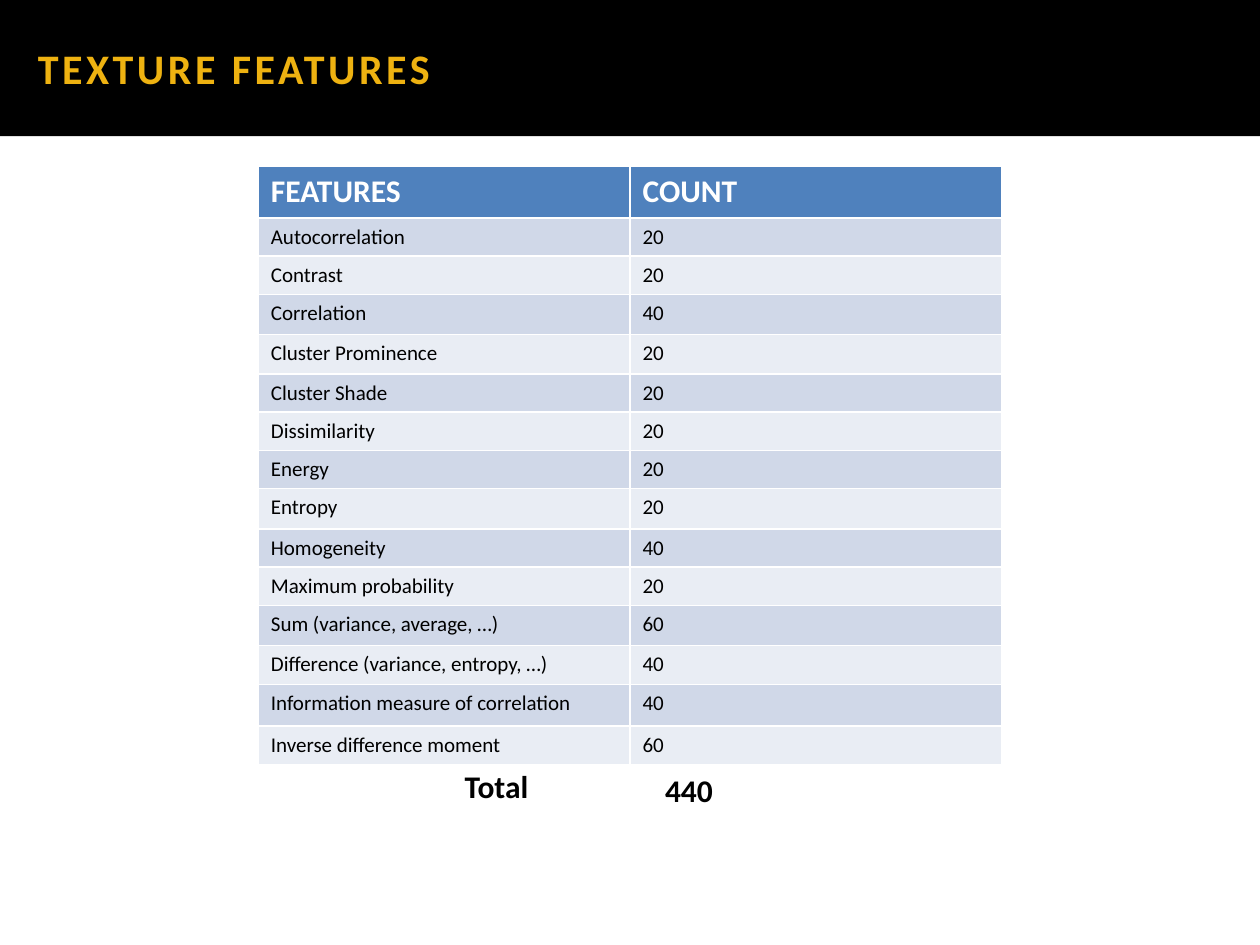
from pptx import Presentation
from pptx.dml.color import RGBColor
from pptx.enum.text import MSO_ANCHOR, PP_ALIGN
from pptx.util import Inches, Pt

LEFT = PP_ALIGN.LEFT
MIDDLE = MSO_ANCHOR.MIDDLE

BLACK = RGBColor(0x00, 0x00, 0x00)
WHITE = RGBColor(0xFF, 0xFF, 0xFF)
GOLD = RGBColor(0xEE, 0xB2, 0x11)
HEADER_BLUE = RGBColor(0x4F, 0x81, 0xBD)
BAND_DARK = RGBColor(0xD0, 0xD8, 0xE8)
BAND_LIGHT = RGBColor(0xE9, 0xED, 0xF4)

FEATURE_COUNTS = [
    ("FEATURES", "COUNT"),
    ("Autocorrelation", "20"),
    ("Contrast", "20"),
    ("Correlation", "40"),
    ("Cluster Prominence", "20"),
    ("Cluster Shade", "20"),
    ("Dissimilarity", "20"),
    ("Energy", "20"),
    ("Entropy", "20"),
    ("Homogeneity", "40"),
    ("Maximum probability", "20"),
    ("Sum (variance, average, …)", "60"),
    ("Difference (variance, entropy, …)", "40"),
    ("Information measure of correlation", "40"),
    ("Inverse difference moment", "60"),
]
ROW_HEIGHTS = [0.41, 0.3, 0.3, 0.32, 0.31, 0.3, 0.3, 0.3,
               0.32, 0.3, 0.3, 0.32, 0.31, 0.33, 0.3]


def set_font(paragraph, size, color, bold):
    font = paragraph.font
    font.name = "Calibri"
    font.size = Pt(size)
    font.bold = bold
    font.color.rgb = color


presentation = Presentation()
presentation.slide_width = Inches(10)
presentation.slide_height = Inches(7.5)
slide = presentation.slides.add_slide(presentation.slide_layouts[5])

title = slide.shapes.title
title.left, title.top = Inches(0), Inches(0)
title.width, title.height = Inches(10), Inches(1.08)
title.fill.solid()
title.fill.fore_color.rgb = BLACK
title.text_frame.margin_left = Inches(0.3)
title.text_frame.vertical_anchor = MIDDLE
title.text_frame.text = "TEXTURE FEATURES"
title_paragraph = title.text_frame.paragraphs[0]
title_paragraph.alignment = LEFT
set_font(title_paragraph, 24, GOLD, True)
title_paragraph.runs[0]._r.get_or_add_rPr().set("spc", "200")

table = slide.shapes.add_table(
    len(FEATURE_COUNTS), 2, Inches(2.05), Inches(1.32), Inches(5.9), Inches(4.72)
).table
for column in table.columns:
    column.width = Inches(2.95)
for row_index, (texts, height) in enumerate(zip(FEATURE_COUNTS, ROW_HEIGHTS)):
    table.rows[row_index].height = Inches(height)
    is_header = row_index == 0
    band = BAND_DARK if row_index % 2 else BAND_LIGHT
    for column_index, text in enumerate(texts):
        cell = table.cell(row_index, column_index)
        cell.text = text
        cell.fill.solid()
        cell.fill.fore_color.rgb = HEADER_BLUE if is_header else band
        set_font(cell.text_frame.paragraphs[0], 18 if is_header else 12,
                 WHITE if is_header else BLACK, is_header)

for text, left, top, width in [("Total", 3.59, 6.04, 0.93), ("440", 5.18, 6.07, 0.7)]:
    total_box = slide.shapes.add_textbox(
        Inches(left), Inches(top), Inches(width), Inches(0.4))
    total_box.text_frame.word_wrap = True
    total_box.text_frame.text = text
    set_font(total_box.text_frame.paragraphs[0], 18, BLACK, True)

presentation.save("out.pptx")
